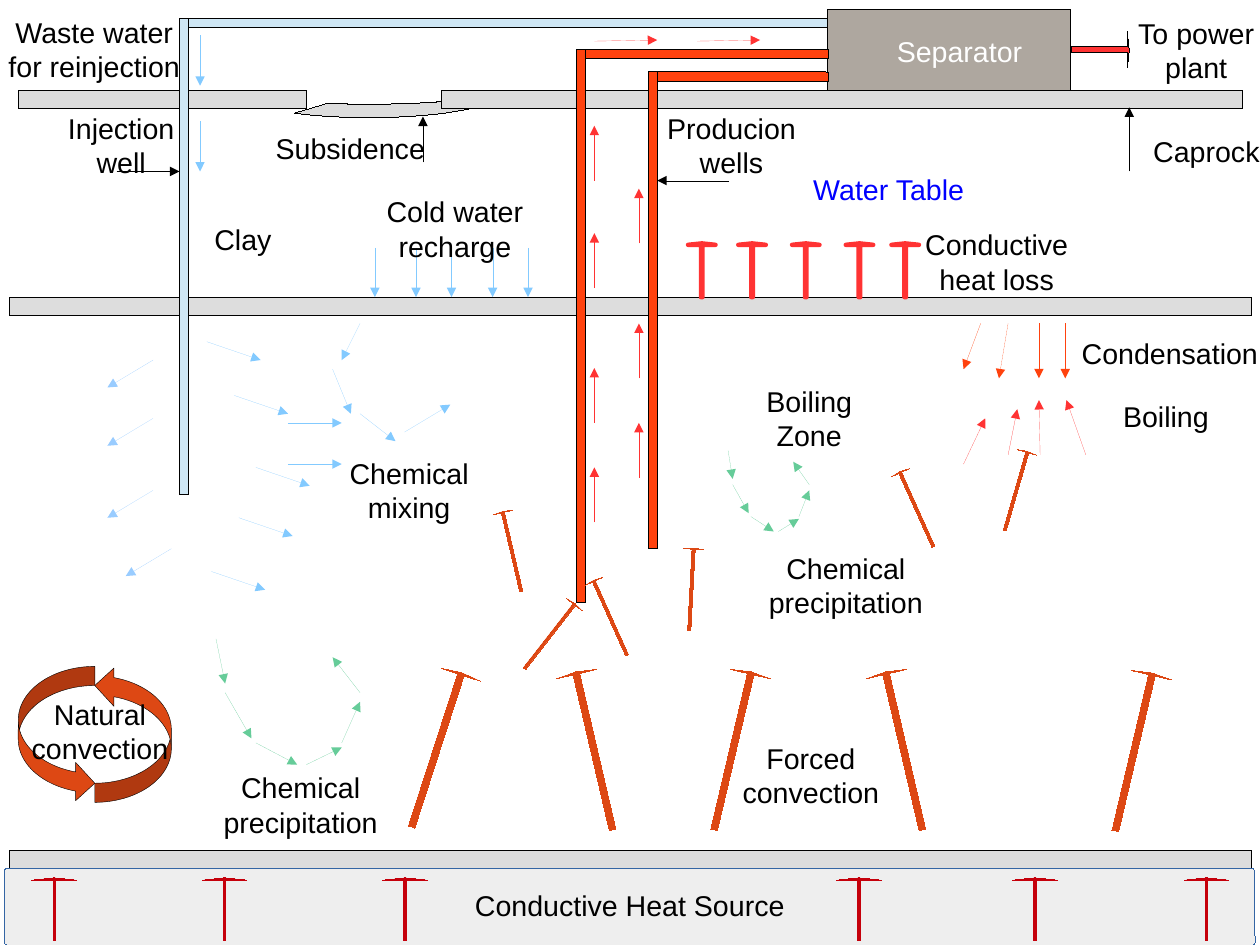
from pptx import Presentation
from pptx import util as u
from pptx.dml.color import RGBColor
from pptx.enum import shapes, text
from pptx.oxml import parse_xml
from pptx.oxml.ns import nsdecls, qn

KIND = shapes.MSO_SHAPE
BLACK, ROCK, WATER, STEAM = "000000", "DDDDDD", "CFE7F5", "FF420E"
COLD, PALE_COLD, MINERAL, HOT = "83CAFF", "99CCFF", "66CC99", "FF3333"
MAGMA, DEEP_HEAT, BASE_EDGE = "DD4814", "C5000B", "3465A4"


def color(hex_text):
    return RGBColor.from_string(hex_text)


class Diagram:
    def __init__(self, slide, font="Arial", size=18):
        self.slide = slide
        self.font = font
        self.size = size

    def drop_style(self, item):
        style = item._element.find(qn("p:style"))
        item._element.remove(style)

    def shape(self, kind, left, top, width, height, fill=None, line=BLACK,
              weight=None, adjust=(), turn=0, flip=""):
        part = self.slide.shapes.add_shape(
            kind, u.Inches(left), u.Inches(top), u.Inches(width), u.Inches(height))
        self.drop_style(part)
        part.shadow.inherit = False
        if fill:
            part.fill.solid()
            part.fill.fore_color.rgb = color(fill)
        else:
            part.fill.background()
        part.line.color.rgb = color(line)
        if weight is not None:
            part.line.width = u.Pt(weight)
        for index, value in enumerate(adjust):
            part.adjustments[index] = value
        part.rotation = turn
        for axis in flip:
            part._element.spPr.xfrm.set("flip" + axis, "1")
        return part

    def arrow(self, x1, y1, x2, y2, line=BLACK):
        flow = self.slide.shapes.add_connector(
            shapes.MSO_CONNECTOR.STRAIGHT,
            u.Inches(x1), u.Inches(y1), u.Inches(x2), u.Inches(y2))
        self.drop_style(flow)
        flow.line.color.rgb = color(line)
        flow.line._get_or_add_ln().append(
            parse_xml(f'<a:tailEnd {nsdecls("a")} type="triangle"/>'))
        flow._element.spPr.append(parse_xml(f'<a:effectLst {nsdecls("a")}/>'))

    def label(self, wording, left, top, width, height=0.66, ink=BLACK,
              inset=(0.1, 0.05)):
        box = self.slide.shapes.add_textbox(
            u.Inches(left), u.Inches(top), u.Inches(width), u.Inches(height))
        frame = box.text_frame
        frame.word_wrap = True
        frame.margin_left = frame.margin_right = u.Inches(inset[0])
        frame.margin_top = frame.margin_bottom = u.Inches(inset[1])
        paragraph = frame.paragraphs[0]
        paragraph.alignment = text.PP_ALIGN.CENTER
        run = paragraph.add_run()
        run.text = wording
        run.font.name = self.font
        run.font.size = u.Pt(self.size)
        run.font.color.rgb = color(ink)


def draw_ground(d):
    heat_source = (KIND.ROUNDED_RECTANGLE, 0.04, 7.6, 10.94, 0.67)
    d.shape(*heat_source, fill="EEEEEE", line=BASE_EDGE, adjust=[0.036])
    d.shape(KIND.BLOCK_ARC, 2.05, 0.56, 2.36, 0.47, ROCK,
            adjust=[117.965, 0.054], flip="V")
    for left, top, width in [(0.16, 0.79, 2.52), (3.86, 0.79, 7.01),
                             (0.08, 2.6, 10.87), (0.08, 7.44, 10.87)]:
        d.shape(KIND.RECTANGLE, left, top, width, 0.16, ROCK)
    d.shape(*heat_source, line=BASE_EDGE, adjust=[0.036])


def draw_plant(d):
    d.shape(KIND.RECTANGLE, 7.24, 0.08, 2.13, 0.71, "AEA79F")
    d.shape(KIND.RIGHT_ARROW, 9.37, 0.28, 0.51, 0.31, HOT, adjust=[0.162, 0.054])
    for left, top, width, height, fill, rounding in [
            (1.57, 0.16, 5.67, 0.08, WATER, 0.036),
            (1.57, 0.16, 0.08, 4.17, WATER, 0),
            (5.67, 0.63, 1.58, 0.08, STEAM, 0.108),
            (5.04, 0.43, 2.21, 0.08, STEAM, 0.036),
            (5.67, 0.63, 0.08, 4.17, STEAM, 0.036),
            (5.04, 0.43, 0.08, 4.84, STEAM, 0.036)]:
        d.shape(KIND.ROUNDED_RECTANGLE, left, top, width, height, fill,
                adjust=[rounding])


def draw_heat(d):
    for left, flip in [(0.16, ""), (0.83, "HV")]:
        d.shape(KIND.CURVED_RIGHT_ARROW, left, 5.83, 0.67, 1.19, MAGMA,
                weight=0.25, adjust=[0.25, 0.5, 0.25], flip=flip)
    for left in (0.28, 1.77, 3.35, 7.32, 8.86, 10.36):
        d.shape(KIND.UP_ARROW, left, 7.68, 0.39, 0.55, DEEP_HEAT, DEEP_HEAT,
                adjust=[0.054, 0.054])
    for left in (6.02, 6.46, 6.93, 7.4, 7.8):
        d.shape(KIND.UP_ARROW, left, 2.13, 0.24, 0.47, "FFFFFF", HOT,
                weight=2.83, adjust=[0.054, 0.054])
    forced = [(3.11, 6.38, 287.9), (4.49, 6.39, 256.9), (5.7, 6.39, 283.2),
              (7.2, 6.39, 256.9), (9.21, 6.4, 283.2)]
    rising = [(4.12, 4.74, 256.9), (4.45, 5.48, 307.9), (4.98, 5.32, 245.8),
              (7.66, 4.37, 245.8), (8.53, 4.21, 286.1), (5.69, 5.07, 273.1)]
    for plumes, width, height in [(forced, 1.42, 0.36), (rising, 0.72, 0.17)]:
        for left, top, turn in plumes:
            d.shape(KIND.NOTCHED_RIGHT_ARROW, left, top, width, height,
                    MAGMA, MAGMA, adjust=[0.162, 0.054], turn=turn)


def draw_flows(d):
    for x, y in [(1.34, 3.15), (1.34, 3.66), (1.34, 4.29), (1.5, 4.8)]:
        d.arrow(x, y, x - 0.4, y + 0.24, PALE_COLD)
    for x, y in [(1.81, 2.99), (2.05, 3.46), (2.24, 4.09), (2.09, 4.53), (1.85, 5)]:
        d.arrow(x, y, x + 0.47, y + 0.16, COLD)
    for x in (3.28, 3.64, 3.95, 4.31, 4.62):
        d.arrow(x, 2.17, x, 2.6, COLD)
    for y in (0.31, 1.06):
        d.arrow(1.75, y, 1.75, y + 0.44, COLD)
    for y in (3.7, 4.06):
        d.arrow(2.52, y, 2.99, y, COLD)
    for x, bottoms in [(5.2, (4.57, 3.7, 2.52, 1.58)), (5.59, (2.13, 3.31, 4.18))]:
        for y in bottoms:
            d.arrow(x, y, x, y - 0.48, HOT)
    for x in (5.2, 6.1):
        d.arrow(x, 0.36, x + 0.55, 0.35, HOT)

    mixing = [(3.15, 2.83, 2.99, 3.15), (2.91, 3.23, 3.07, 3.62),
              (3.15, 3.62, 3.46, 3.86), (3.54, 3.78, 3.94, 3.54)]
    precipitation = [
        (1.89, 5.59, 1.97, 5.98), (1.97, 6.06, 2.2, 6.46), (2.24, 6.5, 2.6, 6.69),
        (2.68, 6.69, 2.99, 6.54), (2.99, 6.5, 3.15, 6.14), (3.15, 6.06, 2.91, 5.75),
        (6.37, 3.94, 6.41, 4.19), (6.41, 4.24, 6.55, 4.49), (6.57, 4.52, 6.77, 4.65),
        (6.81, 4.65, 6.99, 4.54), (6.99, 4.52, 7.08, 4.29), (7.08, 4.24, 6.94, 4.04)]
    boiling = [(8.43, 4.06, 8.62, 3.66), (8.82, 3.98, 8.9, 3.58),
               (9.1, 3.98, 9.09, 3.5), (9.5, 3.98, 9.33, 3.5)]
    condensation = [(8.58, 2.83, 8.43, 3.23), (8.82, 2.83, 8.74, 3.31),
                    (9.09, 2.83, 9.09, 3.31), (9.32, 2.83, 9.32, 3.31)]
    pointers = [(9.88, 1.5, 9.88, 0.94), (3.7, 1.42, 3.7, 1.02),
                (1.02, 1.5, 1.57, 1.5), (6.38, 1.58, 5.75, 1.58)]
    for flows, line in [(mixing, COLD), (precipitation, MINERAL), (boiling, HOT),
                        (condensation, STEAM), (pointers, BLACK)]:
        for ends in flows:
            d.arrow(*ends, line)


def write_labels(d):
    for wording, left, top, width in [
            ("To power plant", 9.79, 0.09, 1.35),
            ("Waste water for reinjection", -0.04, 0.08, 1.73),
            ("Injection well", 0.47, 0.92, 1.18),
            ("Producion wells", 5.71, 0.92, 1.38),
            ("Cold water recharge", 3.27, 1.65, 1.42),
            ("Conductive heat loss", 7.99, 1.94, 1.46),
            ("Chemical mixing", 2.95, 3.94, 1.26),
            ("Chemical precipitation", 6.61, 4.77, 1.58),
            ("Chemical precipitation", 1.84, 6.69, 1.58),
            ("Natural convection", 0.17, 6.05, 1.41),
            ("Forced convection", 6.38, 6.43, 1.43)]:
        d.label(wording, left, top, width)
    for wording, left, top, width in [
            ("Caprock", 9.88, 1.12, 1.35),
            ("Subsidence", 2.28, 1.1, 1.57),
            ("Clay", 1.73, 1.89, 0.79),
            ("Condensation", 9.33, 2.89, 1.81),
            ("Boiling", 9.69, 3.44, 1.02),
            ("Boiling Zone", 6.29, 3.31, 1.58),
            ("Conductive Heat Source", 4.05, 7.72, 2.92)]:
        d.label(wording, left, top, width, height=0.38)
    d.label("Separator", 7.72, 0.25, 1.35, height=0.38, ink="FFFFFF")
    d.label("Water Table", 6.97, 1.43, 1.61, height=0.42, ink="0000FF",
            inset=(0.12, 0.07))


def main():
    deck = Presentation()
    deck.slide_width, deck.slide_height = u.Inches(28 / 2.54), u.Inches(21 / 2.54)
    diagram = Diagram(deck.slides.add_slide(deck.slide_layouts[6]))
    for draw in (draw_ground, draw_plant, draw_heat, draw_flows, write_labels):
        draw(diagram)
    deck.save("out.pptx")


if __name__ == "__main__":
    main()
